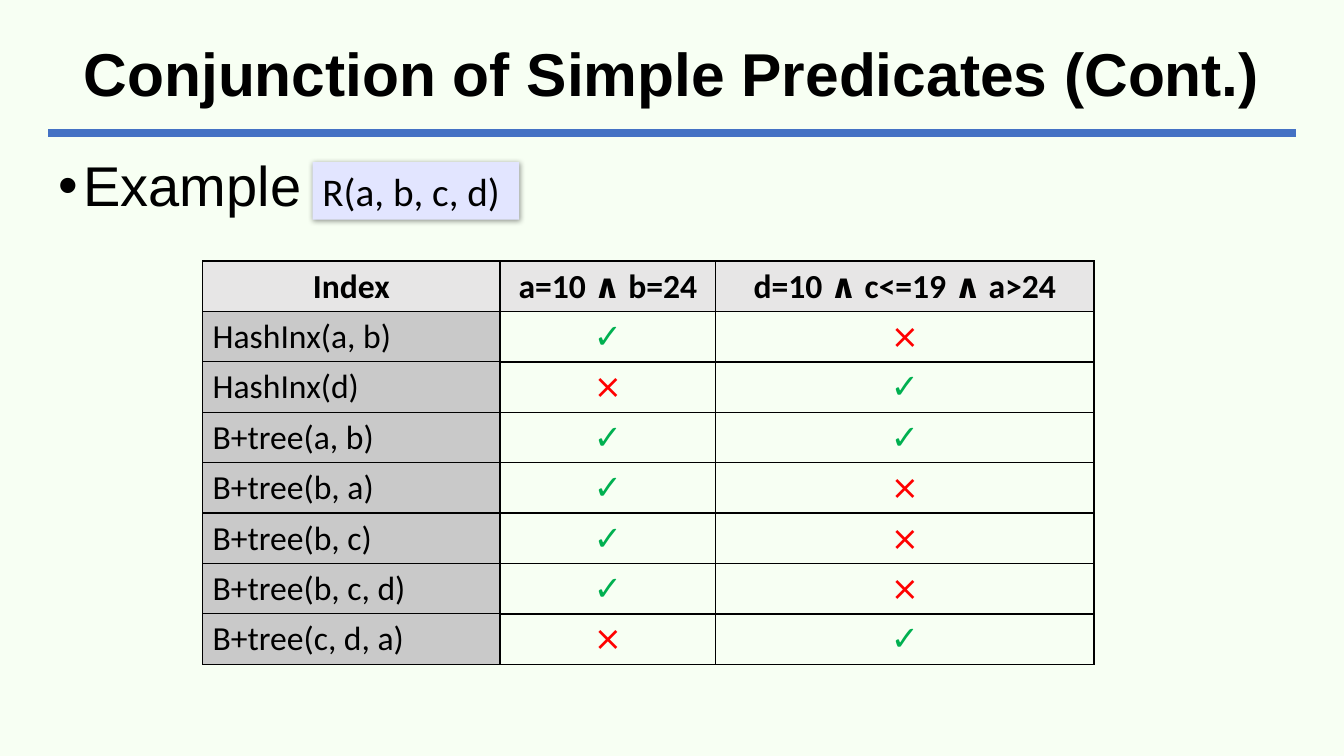
from dataclasses import dataclass

from lxml import etree
from pptx import Presentation
from pptx.dml.color import RGBColor
from pptx.enum.shapes import MSO_CONNECTOR, MSO_SHAPE
from pptx.enum.text import MSO_ANCHOR, MSO_AUTO_SIZE, PP_ALIGN
from pptx.oxml import parse_xml
from pptx.oxml.ns import nsdecls, qn
from pptx.slide import Slide
from pptx.table import _Cell
from pptx.text.text import _Paragraph
from pptx.util import Emu, Pt

STRAIGHT = MSO_CONNECTOR.STRAIGHT
RECTANGLE = MSO_SHAPE.RECTANGLE
MIDDLE = MSO_ANCHOR.MIDDLE
TOP = MSO_ANCHOR.TOP
LEFT = PP_ALIGN.LEFT
CENTER = PP_ALIGN.CENTER
NO_FIT = MSO_AUTO_SIZE.NONE
GROW = MSO_AUTO_SIZE.SHAPE_TO_FIT_TEXT

BLACK = RGBColor(0x00, 0x00, 0x00)
BACKGROUND = RGBColor(0xF7, 0xFF, 0xF3)
RULE_BLUE = RGBColor(0x44, 0x72, 0xC4)
SCHEMA_FILL = RGBColor(0xE2, 0xE5, 0xFF)
HEADER_FILL = RGBColor(0xE7, 0xE6, 0xE6)
INDEX_FILL = RGBColor(0xC9, 0xC9, 0xC9)
GREEN = RGBColor(0x00, 0xB0, 0x50)
RED = RGBColor(0xFF, 0x00, 0x00)

HEADING_FONT = "Arial"
TABLE_FONT = "Calibri"

EMU_PER_PX = 9144  # 100 px to the inch
MARGIN, CONTENT_WIDTH = 48, 1237
TABLE_LEFT, TABLE_TOP = 201, 259
TABLE_PITCH, ROW_HEIGHT = 50, 41
COLUMN_WIDTHS = (295, 214, 375)


@dataclass(frozen=True)
class CellStyle:
    text: str
    fill: RGBColor | None = None
    color: RGBColor = BLACK
    bold: bool = False
    alignment: PP_ALIGN = CENTER


@dataclass(frozen=True)
class IndexRow:
    """An index and whether it supports each of the two predicates."""
    name: str
    supports: tuple[bool, bool]

    def cells(self) -> list[CellStyle]:
        return [CellStyle(self.name, INDEX_FILL, alignment=LEFT),
                *(YES if supported else NO for supported in self.supports)]


YES = CellStyle("✓", color=GREEN)
NO = CellStyle("⨯", color=RED)
HEADER_CELLS = [CellStyle(text, HEADER_FILL, bold=True)
                for text in ("Index", "a=10 ∧ b=24", "d=10 ∧ c<=19 ∧ a>24")]
INDEX_ROWS = (
    IndexRow("HashInx(a, b)", (True, False)),
    IndexRow("HashInx(d)", (False, True)),
    IndexRow("B+tree(a, b)", (True, True)),
    IndexRow("B+tree(b, a)", (True, False)),
    IndexRow("B+tree(b, c)", (True, False)),
    IndexRow("B+tree(b, c, d)", (True, False)),
    IndexRow("B+tree(c, d, a)", (False, True)),
)


def px(length: int) -> Emu:
    return Emu(length * EMU_PER_PX)


def box_px(left: int, top: int, width: int, height: int) -> tuple[Emu, ...]:
    return px(left), px(top), px(width), px(height)


def add_run(para: _Paragraph, text: str, size: float, font: str,
            color: RGBColor = BLACK, bold: bool = False) -> None:
    span = para.add_run()
    span.text = text
    span.font.size = Pt(size)
    span.font.name = font
    span.font.color.rgb = color
    span.font.bold = bold


def add_title(slide: Slide) -> None:
    title = slide.shapes.title
    title.left, title.top, title.width, title.height = box_px(MARGIN, 24, CONTENT_WIDTH, 104)
    frame = title.text_frame
    frame.auto_size = NO_FIT
    frame.vertical_anchor = MIDDLE
    para = frame.paragraphs[0]
    para.alignment = CENTER
    para.line_spacing = 0.9
    add_run(para, "Conjunction of Simple Predicates (Cont.)", 43.2, HEADING_FONT, bold=True)


def add_title_rule(slide: Slide) -> None:
    rule = slide.shapes.add_connector(
        STRAIGHT, px(MARGIN), px(132), px(MARGIN + CONTENT_WIDTH), px(132))
    rule.line.color.rgb = RULE_BLUE
    rule.line.width = Pt(6)
    etree.SubElement(rule._element.spPr, qn("a:effectLst"))


def add_example_bullet(slide: Slide) -> None:
    box = slide.shapes.add_textbox(*box_px(MARGIN, 152, CONTENT_WIDTH, 543))
    box.text_frame.word_wrap = True
    para = box.text_frame.paragraphs[0]
    para.line_spacing = 0.9
    para.space_before = Pt(10)
    properties = para._p.get_or_add_pPr()
    properties.set("marL", str(px(25)))
    properties.set("indent", str(-px(25)))
    etree.SubElement(properties, qn("a:buFont"), typeface=HEADING_FONT)
    etree.SubElement(properties, qn("a:buChar"), char="•")
    add_run(para, "Example", 40, HEADING_FONT)


def add_schema_box(slide: Slide) -> None:
    box = slide.shapes.add_shape(RECTANGLE, *box_px(310, 161, 205, 57))
    box.fill.solid()
    box.fill.fore_color.rgb = SCHEMA_FILL
    box.line.fill.background()
    box._element.spPr.append(parse_xml(
        f'<a:effectLst {nsdecls("a")}>'
        '<a:outerShdw blurRad="50800" dist="12700" dir="2700000" algn="tl" rotWithShape="0">'
        '<a:srgbClr val="000000"><a:alpha val="40000"/></a:srgbClr>'
        '</a:outerShdw></a:effectLst>'))
    frame = box.text_frame
    frame.word_wrap = True
    frame.auto_size = GROW
    frame.vertical_anchor = TOP
    para = frame.paragraphs[0]
    para.alignment = LEFT
    add_run(para, "R(a, b, c, d)", 28, TABLE_FONT)


def add_borders(cell: _Cell) -> None:
    properties = cell._tc.get_or_add_tcPr()
    for side in ("lnL", "lnR", "lnT", "lnB"):
        properties.append(parse_xml(
            f'<a:{side} {nsdecls("a")} w="{Pt(1)}"><a:solidFill>'
            f'<a:srgbClr val="{BLACK}"/></a:solidFill></a:{side}>'))


def fill_cell(cell: _Cell, style: CellStyle) -> None:
    add_borders(cell)
    if style.fill is None:
        cell.fill.background()
    else:
        cell.fill.solid()
        cell.fill.fore_color.rgb = style.fill
    para = cell.text_frame.paragraphs[0]
    para.alignment = style.alignment
    add_run(para, style.text, 24, TABLE_FONT, style.color, style.bold)


def add_row_table(slide: Slide, top: int, styles: list[CellStyle]) -> None:
    """Add a table of one row, which can be moved on its own."""
    holder = slide.shapes.add_table(
        1, len(styles), *box_px(TABLE_LEFT, top, sum(COLUMN_WIDTHS), ROW_HEIGHT))
    holder.table.first_row = False
    holder.table.horz_banding = False
    for column, width in zip(holder.table.columns, COLUMN_WIDTHS):
        column.width = px(width)
    for cell, style in zip(holder.table.rows[0].cells, styles):
        fill_cell(cell, style)
    holder.height = px(TABLE_PITCH)


def main() -> None:
    deck = Presentation()
    deck.slide_width, deck.slide_height = px(1333), px(750)
    slide = deck.slides.add_slide(deck.slide_layouts.get_by_name("Title Only"))
    slide.background.fill.solid()
    slide.background.fill.fore_color.rgb = BACKGROUND
    add_title_rule(slide)
    add_example_bullet(slide)
    add_title(slide)
    rows = [HEADER_CELLS, *(row.cells() for row in INDEX_ROWS)]
    for position, styles in enumerate(rows):
        add_row_table(slide, TABLE_TOP + position * TABLE_PITCH, styles)
    add_schema_box(slide)
    deck.save("out.pptx")


if __name__ == "__main__":
    main()
